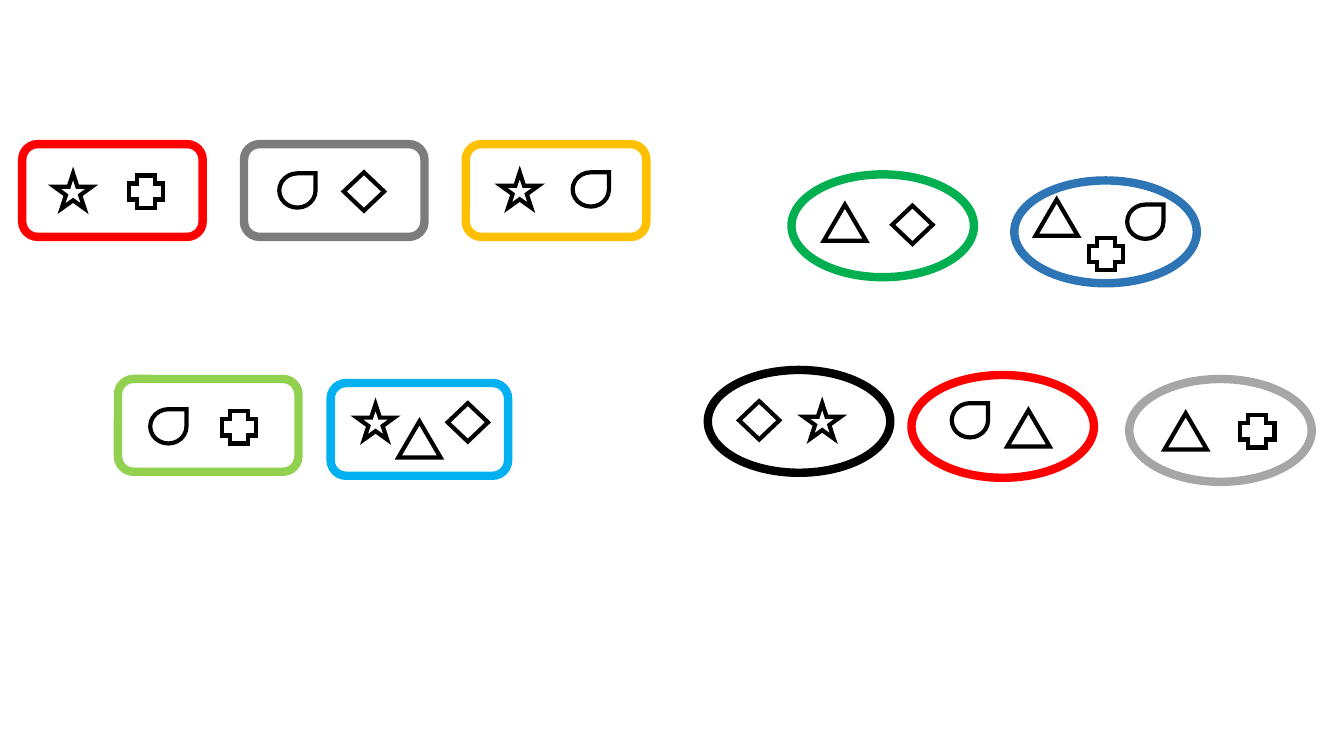
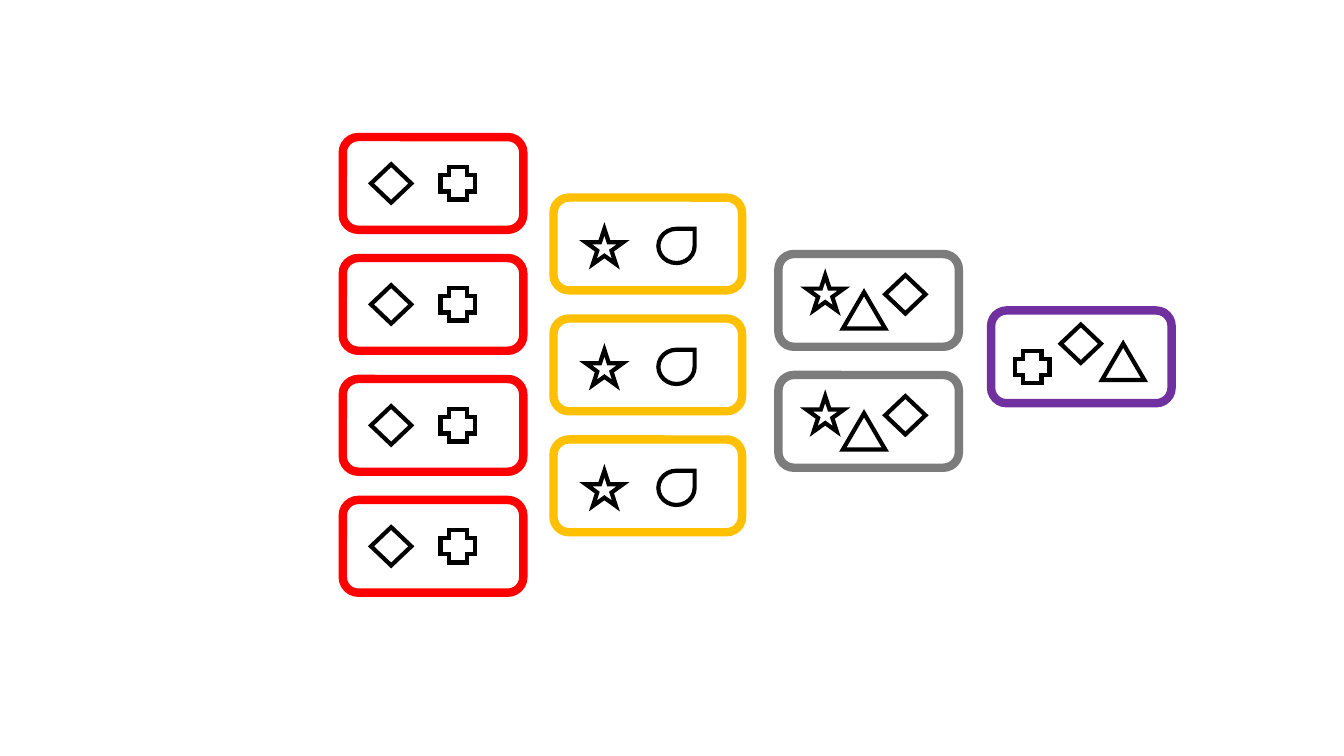
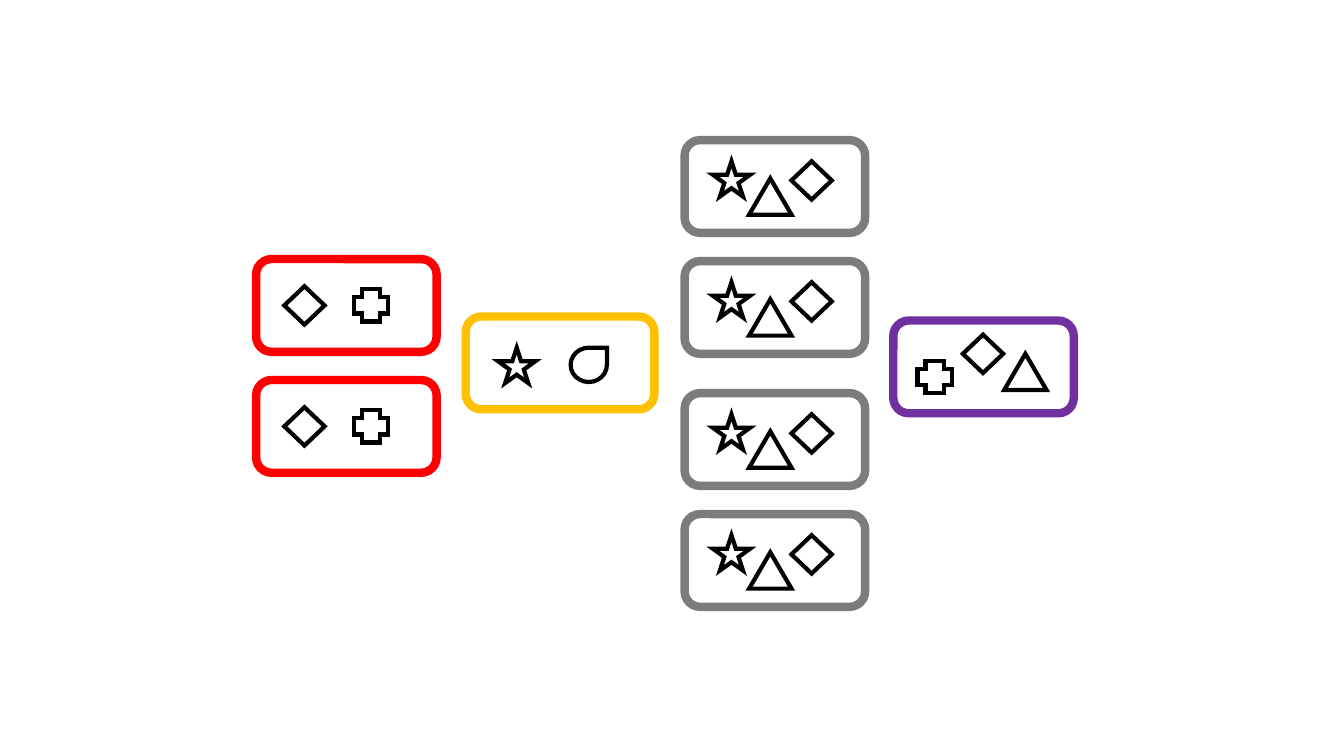
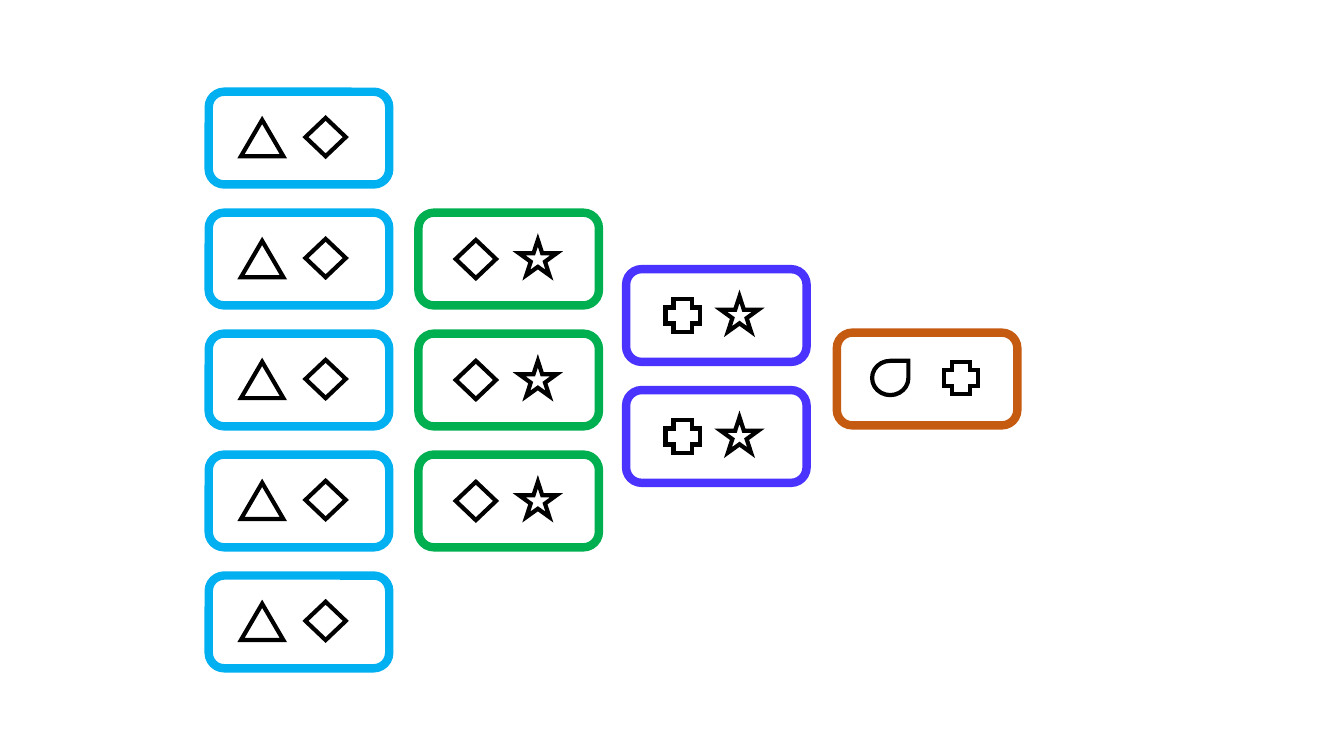
from dataclasses import dataclass

from pptx import Presentation
from pptx.dml.color import RGBColor
from pptx.enum.shapes import MSO_SHAPE as Shape
from pptx.oxml.ns import qn
from pptx.util import Inches, Pt
from lxml.etree import SubElement

CELL = Inches(1)
COLUMNS, ROWS = 13.33, 7.5
PITCH = 1.2
CARD_LINE, MARK_LINE = 6, 3

BLACK = RGBColor(0x00, 0x00, 0x00)
RED = RGBColor(0xFF, 0x00, 0x00)
GREY = RGBColor(0x7C, 0x7C, 0x7C)
SILVER = RGBColor(0xA6, 0xA6, 0xA6)
GOLD = RGBColor(0xFF, 0xC0, 0x00)
LIME = RGBColor(0x92, 0xD0, 0x50)
GREEN = RGBColor(0x00, 0xB0, 0x50)
SKY = RGBColor(0x00, 0xB0, 0xF0)
BLUE = RGBColor(0x2E, 0x75, 0xB6)
PURPLE = RGBColor(0x70, 0x30, 0xA0)
INDIGO = RGBColor(0x4A, 0x33, 0xFF)
BROWN = RGBColor(0xC5, 0x5A, 0x11)

STAR, DIAMOND, PLUS = Shape.STAR_5_POINT, Shape.DIAMOND, Shape.CROSS
DROP, TRIANGLE = Shape.TEAR, Shape.ISOSCELES_TRIANGLE
MARK_SIZES = {
    STAR: (0.37, 0.35),
    DIAMOND: (0.4, 0.38),
    PLUS: (0.34, 0.32),
    DROP: (0.36, 0.34),
    TRIANGLE: (0.42, 0.36),
}


@dataclass
class Card:
    colour: RGBColor
    marks: list
    width: float = 1.79
    height: float = 0.92
    outline: Shape = Shape.ROUNDED_RECTANGLE


def oval(colour, marks):
    return Card(colour, marks, 1.81, 1.02, Shape.OVAL)


RED_CARD = Card(RED, [(DIAMOND, 0.28, 0.27), (PLUS, 0.97, 0.3)])
GOLD_CARD = Card(GOLD, [(STAR, 0.32, 0.31), (DROP, 1.04, 0.31)], width=1.87)
GREY_CARD = Card(GREY, [(STAR, 0.28, 0.21), (TRIANGLE, 0.64, 0.38), (DIAMOND, 1.06, 0.21)])
PURPLE_CARD = Card(PURPLE, [(PLUS, 0.24, 0.4), (DIAMOND, 0.69, 0.14), (TRIANGLE, 1.1, 0.33)])
SKY_CARD = Card(SKY, [(TRIANGLE, 0.32, 0.28), (DIAMOND, 0.96, 0.26)])
GREEN_CARD = Card(GREEN, [(DIAMOND, 0.37, 0.27), (STAR, 1, 0.27)])
INDIGO_CARD = Card(INDIGO, [(PLUS, 0.39, 0.3), (STAR, 0.94, 0.27)])
BROWN_CARD = Card(BROWN, [(DROP, 0.35, 0.28), (PLUS, 1.06, 0.29)])

# Each entry of a slide: card, left, top of the first card, number of cards.
SORTING = [
    (Card(RED, [(STAR, 0.32, 0.29), (PLUS, 1.06, 0.31)]), 0.22, 1.43, 1),
    (Card(GREY, [(DROP, 0.35, 0.29), (DIAMOND, 0.99, 0.28)]), 2.42, 1.43, 1),
    (Card(GOLD, [(STAR, 0.35, 0.28), (DROP, 1.06, 0.28)]), 4.62, 1.43, 1),
    (Card(LIME, [(DROP, 0.32, 0.3), (PLUS, 1.03, 0.32)]), 1.17, 3.76, 1),
    (Card(SKY, [(STAR, 0.26, 0.21), (TRIANGLE, 0.67, 0.38), (DIAMOND, 1.16, 0.2)], width=1.76),
     3.28, 3.8, 1),
    (oval(GREEN, [(TRIANGLE, 0.32, 0.3), (DIAMOND, 1, 0.31)]), 7.85, 1.73, 1),
    (oval(BLUE, [(TRIANGLE, 0.21, 0.19), (PLUS, 0.74, 0.57), (DROP, 1.12, 0.24)]),
     10.06, 1.79, 1),
    (oval(BLACK, [(DIAMOND, 0.31, 0.31), (STAR, 0.95, 0.33)]), 7.02, 3.67, 1),
    (oval(RED, [(DROP, 0.4, 0.28), (TRIANGLE, 0.95, 0.35)]), 9.04, 3.72, 1),
    (oval(SILVER, [(TRIANGLE, 0.35, 0.34), (PLUS, 1.1, 0.36)]), 11.2, 3.76, 1),
]
FOUR_THREE_TWO_ONE = [
    (RED_CARD, 3.4, 1.36, 4),
    (GOLD_CARD, 5.49, 1.96, 3),
    (GREY_CARD, 7.72, 2.52, 2),
    (PURPLE_CARD, 9.83, 3.08, 1),
]
TWO_ONE_FOUR_ONE = [
    (RED_CARD, 2.54, 2.57, 2),
    (GOLD_CARD, 4.62, 3.14, 1),
    (GREY_CARD, 6.79, 1.39, 2),
    (GREY_CARD, 6.79, 3.9, 2),
    (PURPLE_CARD, 8.86, 3.18, 1),
]
FIVE_THREE_TWO_ONE = [
    (SKY_CARD, 2.07, 0.91, 5),
    (GREEN_CARD, 4.15, 2.11, 3),
    (INDIGO_CARD, 6.21, 2.67, 2),
    (BROWN_CARD, 8.3, 3.3, 1),
]


def cells(count):
    return round(count * CELL)


def draw_outline(page, kind, left, top, width, height, colour, weight):
    shape = page.shapes.add_shape(kind, *map(cells, (left, top, width, height)))
    shape.shadow.inherit = False
    shape.fill.background()
    shape.line.color.rgb = colour
    shape.line.width = Pt(weight)
    line = shape.element.spPr.find(qn("a:ln"))
    SubElement(line, qn("a:miter")).set("lim", "800000")


def draw_card(page, card, left, top):
    draw_outline(page, card.outline, left, top, card.width, card.height, card.colour, CARD_LINE)
    for kind, across, down in card.marks:
        draw_outline(page, kind, left + across, top + down, *MARK_SIZES[kind], BLACK, MARK_LINE)


def draw_stack(page, card, left, top, count):
    for row in range(count):
        draw_card(page, card, left, top + row * PITCH)


def main():
    deck = Presentation()
    deck.slide_width, deck.slide_height = cells(COLUMNS), cells(ROWS)
    for stacks in (SORTING, FOUR_THREE_TWO_ONE, TWO_ONE_FOUR_ONE, FIVE_THREE_TWO_ONE):
        page = deck.slides.add_slide(deck.slide_layouts[6])
        for stack in stacks:
            draw_stack(page, *stack)
    deck.save("out.pptx")


if __name__ == "__main__":
    main()
